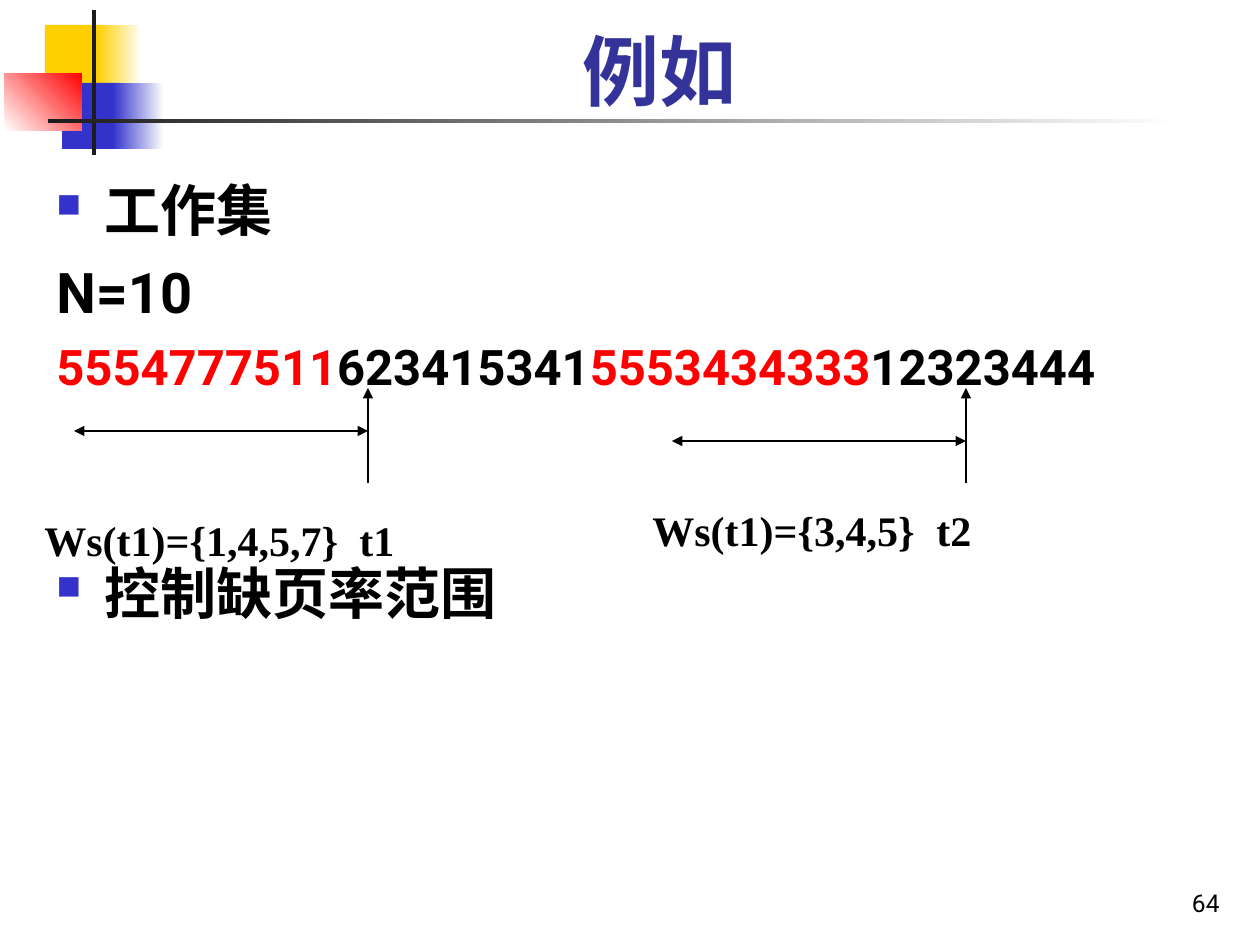
"""Build the working-set example slide."""
import dataclasses

import lxml.etree
import pptx
import pptx.dml.color
import pptx.enum.shapes
import pptx.enum.text
import pptx.oxml.ns
import pptx.util

EMU_PER_PX = 914400 / 126
Align = pptx.enum.text.PP_ALIGN
Anchor = pptx.enum.text.MSO_ANCHOR


@dataclasses.dataclass(frozen=True)
class Theme:
    sans: str = "Roboto"
    serif: str = "Times New Roman"
    black: str = "000000"
    white: str = "FFFFFF"
    red: str = "FF0000"
    yellow: str = "FFCF01"
    blue: str = "3333CC"
    dark: str = "1C1C1C"
    heading: str = "333399"
    title_size: int = 44
    body_size: int = 32
    sequence_size: int = 28
    label_size: int = 24
    number_size: int = 14


def px(length):
    return pptx.util.Emu(round(length * EMU_PER_PX))


def rgb(color):
    return pptx.dml.color.RGBColor.from_string(color)


def add_child(parent, tag, **attributes):
    child = lxml.etree.SubElement(parent, pptx.oxml.ns.qn(tag))
    for name, value in attributes.items():
        child.set(name, str(value))
    return child


def write(paragraph, text, *, size, color=Theme.black, font=Theme.sans, bold=True):
    run = paragraph.add_run()
    run.text = text
    run.font.size = pptx.util.Pt(size)
    run.font.name = font
    run.font.bold = bold
    run.font.color.rgb = rgb(color)


class SlideBuilder:
    def __init__(self, slide, theme):
        self.slide = slide
        self.theme = theme

    def block(self, left, top, width, height, start, end=None, angle=0):
        shape = self.slide.shapes.add_shape(
            pptx.enum.shapes.MSO_SHAPE.RECTANGLE, px(left), px(top), px(width), px(height))
        shape.shadow.inherit = False
        shape.line.fill.background()
        if end is None:
            shape.fill.solid()
            shape.fill.fore_color.rgb = rgb(start)
            return
        shape.fill.gradient()
        shape.fill.gradient_angle = angle
        for stop, color, position in zip(shape.fill.gradient_stops, (start, end), (0, 1)):
            stop.color.rgb = rgb(color)
            stop.position = position

    def text_box(self, left, top, width, height, anchor=Anchor.TOP, inset_top=6):
        frame = self.slide.shapes.add_textbox(px(left), px(top), px(width), px(height)).text_frame
        frame.word_wrap = True
        frame.vertical_anchor = anchor
        frame.margin_top = px(inset_top)
        return frame

    def line_of_text(self, box, text, align, **style):
        paragraph = self.text_box(*box, anchor=Anchor.BOTTOM).paragraphs[0]
        paragraph.alignment = align
        write(paragraph, text, **style)

    def body_paragraph(self, paragraph, runs, size, before=0, bullet=False):
        properties = paragraph._p.get_or_add_pPr()
        properties.set("marL", str(px(48)))
        properties.set("indent", str(-px(48)))
        if bullet:
            add_child(add_child(properties, "a:buClr"), "a:srgbClr", val=self.theme.blue)
            add_child(properties, "a:buSzPct", val=60000)
            add_child(properties, "a:buChar", char="■")
        else:
            add_child(properties, "a:buNone")
        paragraph.space_before = pptx.util.Pt(before)
        for text, color in runs:
            write(paragraph, text, size=size, color=color)

    def label(self, left, top, width, working_set, moment, tab):
        paragraph = self.text_box(left, top, width, 63, inset_top=11).paragraphs[0]
        tabs = add_child(paragraph._p.get_or_add_pPr(), "a:tabLst")
        add_child(tabs, "a:tab", pos=px(tab), algn="l")
        write(paragraph, f"{working_set}\t{moment}",
              size=self.theme.label_size, font=self.theme.serif)

    def arrow(self, start, end, both=False):
        connector = self.slide.shapes.add_connector(
            pptx.enum.shapes.MSO_CONNECTOR.STRAIGHT, *map(px, start + end))
        connector.line.color.rgb = rgb(self.theme.black)
        connector.line.width = pptx.util.Pt(0.75)
        line = connector.line._get_or_add_ln()
        if both:
            add_child(line, "a:headEnd", type="triangle")
        add_child(line, "a:tailEnd", type="triangle")
        add_child(connector._element.spPr, "a:effectLst")


def add_decoration(builder):
    theme = builder.theme
    builder.block(45, 25, 61, 66, theme.yellow)
    builder.block(97, 25, 45, 66, theme.yellow, theme.white)
    builder.block(62, 83, 58, 66, theme.blue)
    builder.block(113, 83, 51, 66, theme.blue, theme.white)
    builder.block(5, 73, 77, 58, theme.white, theme.red, angle=45)
    builder.block(92, 10, 4, 145, theme.dark)
    builder.block(48, 119, 1134, 4, theme.dark, theme.white)


def add_body(builder):
    theme = builder.theme
    frame = builder.text_box(44, 165, 1189, 704, inset_top=11)
    sequence = [("5554777511", theme.red), ("623415341", theme.black),
                ("5553434333", theme.red), ("12323444", theme.black)]
    builder.body_paragraph(frame.paragraphs[0], [("工作集", theme.black)],
                           theme.body_size, bullet=True)
    builder.body_paragraph(frame.add_paragraph(), [("N=10", theme.black)],
                           theme.body_size, before=8)
    builder.body_paragraph(frame.add_paragraph(), sequence, theme.sequence_size, before=7)
    builder.body_paragraph(frame.add_paragraph(), [("控制缺页率范围", theme.black)],
                           theme.body_size, before=93, bullet=True)


def main():
    presentation = pptx.Presentation()
    presentation.slide_width, presentation.slide_height = px(1260), px(945)
    slide = presentation.slides.add_slide(presentation.slide_layouts[6])
    theme = Theme()
    builder = SlideBuilder(slide, theme)
    add_decoration(builder)
    builder.line_of_text((970, 861, 262, 63), "64", Align.RIGHT,
                         size=theme.number_size, bold=False)
    builder.line_of_text((123, 16, 1074, 106), "例如", Align.CENTER,
                         size=theme.title_size, color=theme.heading)
    add_body(builder)
    for moment_x, window_y in ((368, 431), (966, 441)):
        builder.arrow((moment_x, 483), (moment_x, 388))
        builder.arrow((moment_x - 294, window_y), (moment_x, window_y), both=True)
    builder.label(32, 504, 378, "Ws(t1)={1,4,5,7}", "t1", tab=315)
    builder.label(640, 494, 368, "Ws(t1)={3,4,5}", "t2", tab=284)
    presentation.save("out.pptx")


if __name__ == "__main__":
    main()
